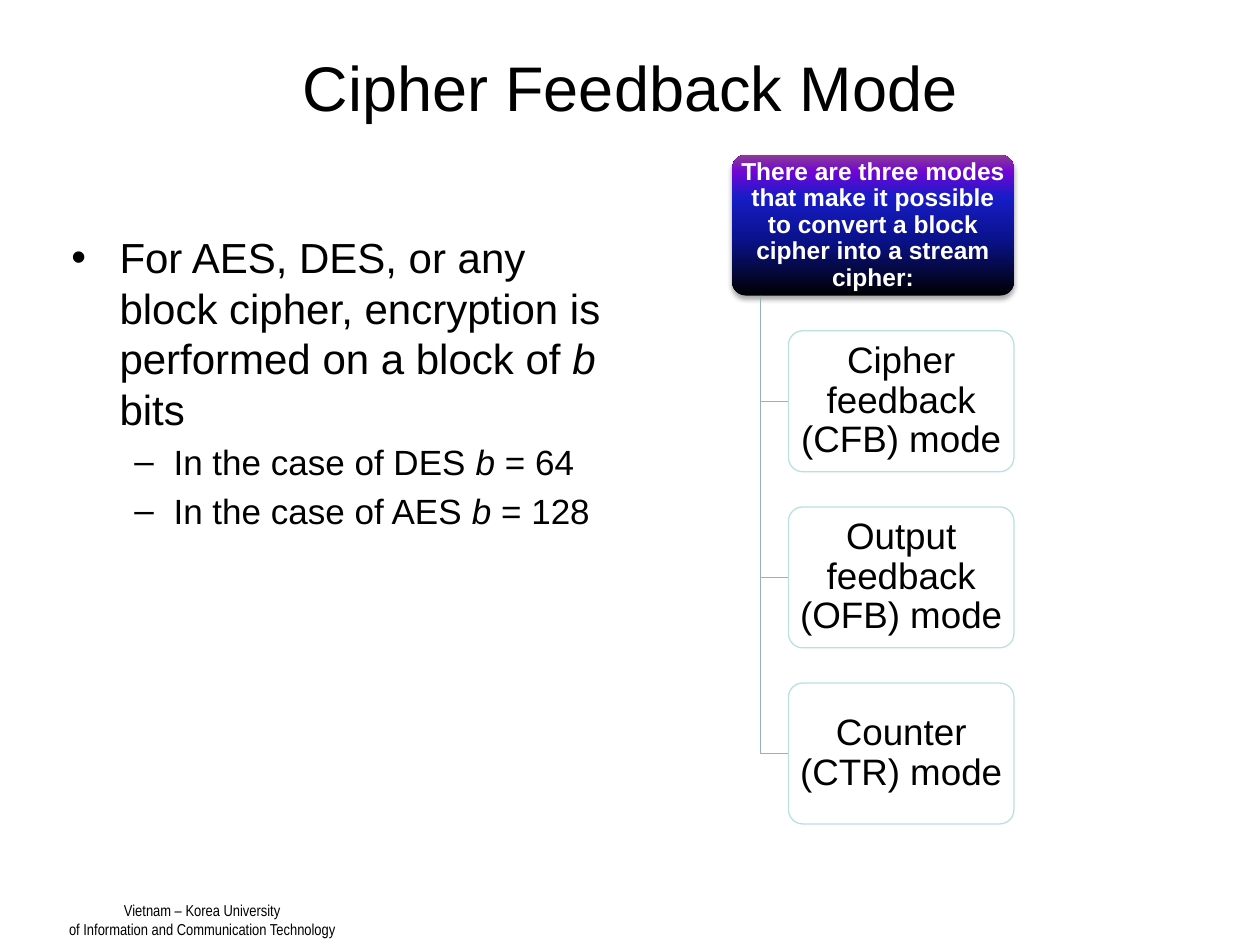
from lxml.etree import SubElement as Sub
from pptx import Presentation
from pptx.dml.color import RGBColor as Rgb
from pptx.enum.shapes import MSO_SHAPE as Kind
from pptx.enum.text import MSO_ANCHOR as Anchor, PP_ALIGN as Align
from pptx.oxml.ns import qn
from pptx.util import Cm, Pt

BLACK = Rgb(0x00, 0x00, 0x00)
WHITE = Rgb(0xFF, 0xFF, 0xFF)
EDGE = Rgb(0xBB, 0xE0, 0xE3)
STEM = Rgb(0x96, 0xB3, 0xB6)
STOPS = [
    (0, BLACK),
    (40, Rgb(0x0A, 0x12, 0x8C)),
    (70, Rgb(0x18, 0x1C, 0xC7)),
    (88, Rgb(0x70, 0x05, 0xD4)),
    (100, Rgb(0x8C, 0x3D, 0x91)),
]

HEAD = "There are three modes that make it possible to convert a block cipher into a stream cipher:"
MODES = ["Cipher feedback (CFB) mode", "Output feedback (OFB) mode", "Counter (CTR) mode"]
POINTS = [
    (0, "For AES, DES, or any block cipher, encryption is performed on a block of ", "bits"),
    (1, "In the case of DES ", "= 64"),
    (1, "In the case of AES ", "= 128"),
]
LEVELS = [("•", 0.97, -0.97, 24), ("–", 2.06, -0.79, 20)]


def add_run(para, text, size, color=BLACK, face="Arial", bold=False, slant=False):
    run = para.add_run()
    run.text = text
    font = run.font
    font.name, font.size, font.bold, font.italic = face, Pt(size), bold, slant
    font.color.rgb = color


def add_title(slide, left, top, width, height):
    title = slide.shapes.title
    title.left, title.top, title.width, title.height = Cm(left), Cm(top), Cm(width), Cm(height)
    frame = title.text_frame
    frame.vertical_anchor = Anchor.MIDDLE
    para = frame.paragraphs[0]
    para.alignment = Align.CENTER
    add_run(para, "Cipher Feedback Mode", 36)


def add_footer(slide, left, top, width, height):
    box = slide.shapes.add_textbox(Cm(left), Cm(top), Cm(width), Cm(height))
    frame = box.text_frame
    frame.word_wrap = False
    lines = ["Vietnam – Korea University", "of Information and Communication Technology"]
    for i, line in enumerate(lines):
        para = frame.add_paragraph() if i else frame.paragraphs[0]
        para.alignment = Align.CENTER
        add_run(para, line, 9, face="Arial Narrow")


def add_points(slide, left, top, width, height):
    box = slide.shapes.add_textbox(Cm(left), Cm(top), Cm(width), Cm(height))
    frame = box.text_frame
    frame.word_wrap = True
    for i, (level, start, end) in enumerate(POINTS):
        mark, margin, indent, size = LEVELS[level]
        para = frame.add_paragraph() if i else frame.paragraphs[0]
        para.level = level
        props = para._p.get_or_add_pPr()
        props.set("marL", str(Cm(margin)))
        props.set("indent", str(Cm(indent)))
        Sub(props, qn("a:buFont"), typeface="Arial")
        Sub(props, qn("a:buChar"), char=mark)
        if i:
            para.space_before = Pt(size * 0.2)
        add_run(para, start, size)
        add_run(para, "b ", size, slant=True)
        add_run(para, end, size)


def add_card(slide, left, top, width, height, text, size, color, bold, inset):
    card = slide.shapes.add_shape(
        Kind.ROUNDED_RECTANGLE, Cm(left), Cm(top), Cm(width), Cm(height))
    card.adjustments[0] = 0.1
    card.shadow.inherit = False
    frame = card.text_frame
    frame.word_wrap = True
    frame.vertical_anchor = Anchor.MIDDLE
    frame.margin_left = frame.margin_right = Cm(inset)
    frame.margin_top = frame.margin_bottom = Cm(inset * 0.7)
    para = frame.paragraphs[0]
    para.alignment = Align.CENTER
    para.line_spacing = 0.9
    add_run(para, text, size, color, bold=bold)
    return card


def shade_head(card):
    card.fill.gradient()
    card.fill.gradient_angle = 90
    card.line.fill.background()
    props = card._element.spPr
    stops = props.find(".//" + qn("a:gsLst"))
    for old in list(stops):
        stops.remove(old)
    for pos, color in STOPS:
        stop = Sub(stops, qn("a:gs"), pos=str(pos * 1000))
        Sub(stop, qn("a:srgbClr"), val=str(color))
    cast = Sub(props.find(qn("a:effectLst")), qn("a:outerShdw"), blurRad=str(Pt(3.1)),
               dist=str(Pt(1.8)), dir="5400000", rotWithShape="0")
    tint = Sub(cast, qn("a:srgbClr"), val=str(BLACK))
    Sub(tint, qn("a:alpha"), val="35000")


def shade_mode(card):
    card.fill.solid()
    card.fill.fore_color.rgb = WHITE
    tint = card._element.spPr.find(qn("a:solidFill")).find(qn("a:srgbClr"))
    Sub(tint, qn("a:alpha"), val="90000")
    card.line.color.rgb = EDGE
    card.line.width = Pt(0.75)


def add_branch(slide, left, top, right, low):
    path = slide.shapes.build_freeform(Cm(left), Cm(top))
    path.add_line_segments([(Cm(left), Cm(low)), (Cm(right), Cm(low))], close=False)
    branch = path.convert_to_shape()
    branch.shadow.inherit = False
    branch.fill.background()
    branch.line.color.rgb = STEM
    branch.line.width = Pt(0.75)


def add_tree(slide, left, top, width, height):
    rows = len(MODES) + 1
    tall = height / (rows + 0.25 * (rows - 1))
    head = add_card(slide, left, top, width, tall, HEAD, 14, WHITE, True, 0.08)
    shade_head(head)
    inner = left + 0.2 * width
    for i, mode in enumerate(MODES, 1):
        row = top + i * 1.25 * tall
        add_branch(slide, left + 0.1 * width, top + tall, inner, row + tall / 2)
        card = add_card(slide, inner, row, 0.8 * width, tall, mode, 21, BLACK, False, 0.1)
        shade_mode(card)


def main():
    deck = Presentation()
    deck.slide_width, deck.slide_height = Cm(25.4), Cm(19.05)
    slide = deck.slides.add_slide(deck.slide_layouts[5])
    add_footer(slide, 1.09, 18.03, 5.97, 1.02)
    add_title(slide, 1.27, 0.76, 22.86, 1.96)
    add_points(slide, 1.19, 4.55, 11.23, 11.96)
    add_tree(slide, 14.76, 3.12, 5.68, 13.49)
    deck.save("out.pptx")


if __name__ == "__main__":
    main()
